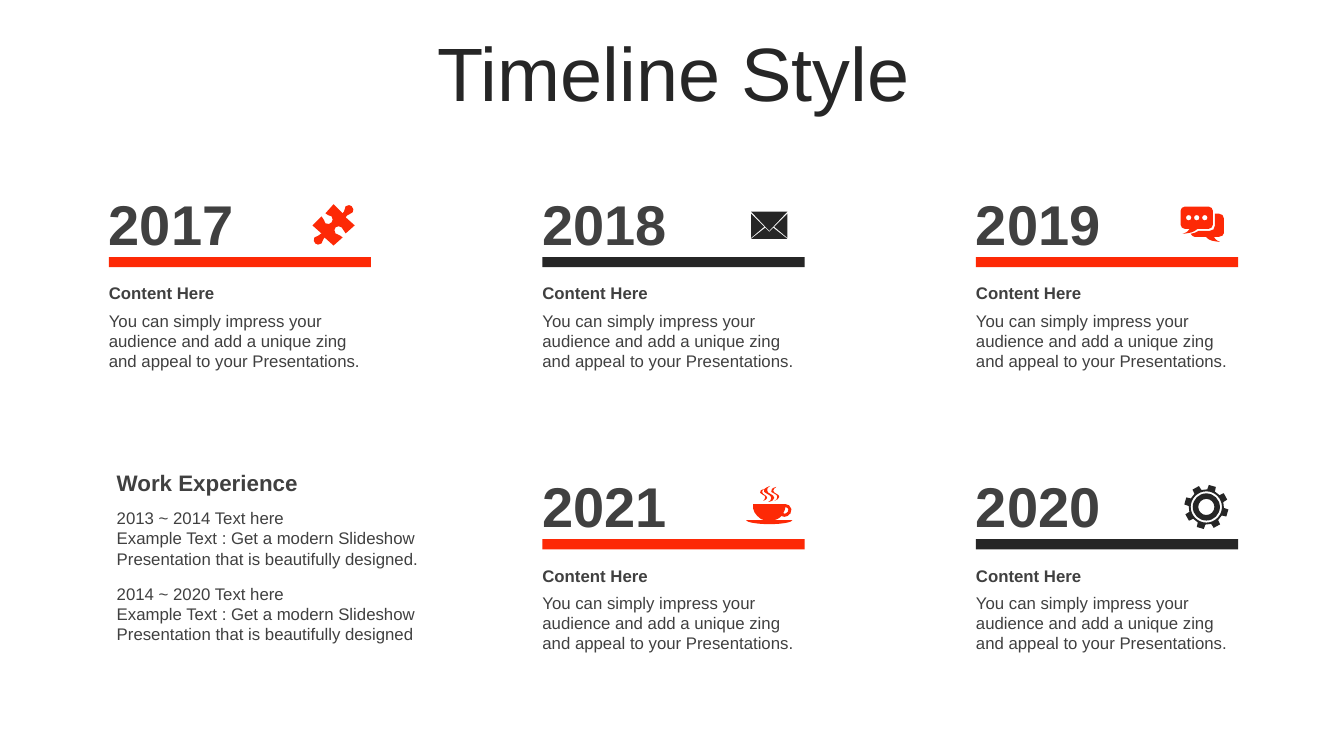
from math import cos, radians, sin

from pptx import Presentation
from pptx import util as u
from pptx.dml.color import RGBColor
from pptx.enum import shapes, text
from pptx.oxml import ns

RED, DARK, GREY = "FD2906", "262626", "404040"
LEFT, TOP, COL, ROW = 1.08, 1.88, 4.3, 2.8
BODY = ("You can simply impress your audience and add a unique zing "
        "and appeal to your Presentations.")
EXAMPLE = "Example Text : Get a modern Slideshow Presentation that is beautifully designed"

PUZZLE = [
    "39,2 / 41,4 41,6 40,8 / 38,11 35,9 33,13 / 42,21 / 33,29 / 30,27 32,25 29,23"
    " / 27,21 25,22 23,23 / 22,24 21,27 23,29 / 26,31 27,30 30,33 / 21,41 / 12,33"
    " / 10,35 11,36 9,39 / 7,41 4,40 3,39 / 1,38 1,35 2,33 / 4,31 7,32 9,29 / 0,21"
    " / 9,12 / 12,14 11,17 13,19 / 15,20 18,20 19,18 / 20,17 21,14 19,12"
    " / 16,10 15,12 13,9 / 21,0 / 30,9 / 33,6 31,5 33,2 / 35,0 38,1 39,2",
]
ENVELOPE = [
    "22,16 / 36,27 / 0,27 / 14,16 / 18,20",
    "36,2 / 36,26 / 23,15",
    "0,2 / 13,15 / 0,26",
    "0,0 / 36,0 / 18,19",
]
BUBBLES = [
    "34,7 / 38,7 / 41,7 43,9 43,12 / 43,26 / 43,28 41,30 38,30 / 33,30"
    " / 34,31 34,33 39,35 / 31,34 29,34 25,30 / 14,30 / 13,30 11,29 10,27"
    " / 13,27 16,25 18,24 / 29,24 / 32,24 34,22 34,19",
    "4,0 / 28,0 / 30,0 32,2 32,4 / 32,18 / 32,20 30,22 28,22 / 17,22"
    " / 12,26 10,26 2,27 / 7,25 7,25 9,22 / 4,22 / 2,22 0,20 0,18 / 0,4 / 0,2 2,0 4,0",
]
CUP = [
    "39,21 / 39,23 38,25 37,27 / 38,28 39,28 40,27 / 41,27 42,25 42,23 / 41,22 40,21 39,21",
    "39,18 / 42,18 44,20 45,23 / 45,26 44,29 41,30 / 39,31 37,31 35,30 / 34,31 33,32 31,33"
    " / 30,33 29,34 28,34 / 46,34 / 46,36 36,38 23,38 / 11,38 0,36 0,34 / 18,34"
    " / 17,34 16,33 15,33 / 9,29 6,24 7,18",
    "18,3 / 17,4 16,4 16,6 / 16,9 21,9 21,12 / 20,14 19,14 17,15 / 18,14 19,13 19,11"
    " / 19,9 15,9 14,7 / 13,5 15,4 18,3",
    "30,1 / 28,3 27,3 27,5 / 28,8 33,8 33,11 / 32,13 31,14 28,15 / 30,14 31,13 31,11"
    " / 31,8 27,8 25,6 / 24,4 26,2 30,1",
    "24,0 / 22,2 20,2 21,5 / 21,8 28,8 28,12 / 27,15 26,15 22,16 / 24,15 25,14 25,12"
    " / 25,9 20,8 18,6 / 17,3 19,2 24,0",
]


def paint(sp, color):
    """Fill a shape with one colour, without line or shadow."""
    sp.fill.solid()
    sp.fill.fore_color.rgb = RGBColor.from_string(color)
    sp.line.fill.background()
    sp.shadow.inherit = False


def add_text(parent, box, lines, size, bold=False, color=GREY, anchor="MIDDLE",
             margins=(0.1, 0.05, 0.1, 0.05), centred=False):
    """Add a wrapped text box with one paragraph per line."""
    tf = parent.add_textbox(*map(u.Inches, box)).text_frame
    tf.word_wrap = True
    tf.vertical_anchor = text.MSO_ANCHOR[anchor]
    tf.margin_left, tf.margin_top, tf.margin_right, tf.margin_bottom = map(u.Inches, margins)
    tf.text = "\n".join(lines)
    for p in tf.paragraphs:
        p.font.name, p.font.size, p.font.bold = "Arial", u.Pt(size), bold
        p.font.color.rgb = RGBColor.from_string(color)
        if centred:
            p.alignment, p.line_spacing = text.PP_ALIGN.CENTER, 0.9


def trace(outline):
    """Split an outline into strokes: one point is a line, three are a curve."""
    return [[tuple(map(float, pair.split(","))) for pair in stroke.split()]
            for stroke in outline.split("/")]


def polar(cx, cy, radius, angle):
    """Return the point at an angle in degrees clockwise from the top."""
    return cx + radius * sin(radians(angle)), cy - radius * cos(radians(angle))


def circle(cx, cy, r):
    """Return the strokes of a circle made of four curves."""
    k = 0.55 * r
    return [[(cx, cy - r)],
            [(cx + k, cy - r), (cx + r, cy - k), (cx + r, cy)],
            [(cx + r, cy + k), (cx + k, cy + r), (cx, cy + r)],
            [(cx - k, cy + r), (cx - r, cy + k), (cx - r, cy)],
            [(cx - r, cy - k), (cx - k, cy - r), (cx, cy - r)]]


def gear(cx, cy):
    """Return a gear of eight teeth around a ring."""
    tooth = (17.5, -13), (22, -9.5), (22, 9.5), (17.5, 13)
    rim = [[polar(cx, cy, radius, 16 + 45 * n + turn)] for n in range(8) for radius, turn in tooth]
    return [rim] + [circle(cx, cy, radius) for radius in (15.5, 13.5, 8)]


def turned(strokes, cx, cy, angle):
    """Rotate strokes around a centre, clockwise in degrees."""
    c, s = cos(radians(angle)), sin(radians(angle))
    return [[(cx + (x - cx) * c - (y - cy) * s, cy + (x - cx) * s + (y - cy) * c)
             for x, y in stroke] for stroke in strokes]


def bend(sp, strokes):
    """Join the three lines of each curved stroke into one cubic curve."""
    lines = iter(list(sp._element.iter(ns.qn("a:lnTo"))))
    for stroke in strokes:
        first, *others = [next(lines) for _ in stroke]
        if others:
            first.tag = ns.qn("a:cubicBezTo")
        for line in others:
            first.append(line[0])
            line.getparent().remove(line)


def add_icon(parent, x, y, contours, color, rotation=0):
    """Add one freeform from contours given in hundredths of an inch."""
    builder, strokes = None, []
    for contour in contours:
        start, *points = [(u.Inches(x + px / 100), u.Inches(y + py / 100))
                          for stroke in contour for px, py in stroke]
        if builder:
            builder.move_to(*start)
        else:
            builder = parent.build_freeform(*start, scale=1.0)
        builder.add_line_segments(points, close=True)
        strokes += contour[1:]
    sp = builder.convert_to_shape()
    bend(sp, strokes)
    sp.rotation = rotation
    paint(sp, color)


def add_year(s, col, row, year, color):
    """Add a year with its bar, heading and description at a grid cell."""
    group = s.shapes.add_group_shape().shapes
    x, y = LEFT + COL * col, TOP + ROW * row
    bar = group.add_shape(shapes.MSO_SHAPE.RECTANGLE,
                          *map(u.Inches, (x, y + 0.67, 2.6, 0.1)))
    paint(bar, color)
    flush = (0, 0.05, 0.1, 0.05)
    add_text(group, (x, y, 1.7, 0.67), [year], 40, True, margins=(0, 0, 0, 0))
    add_text(group, (x, y + 0.88, 2.6, 0.3), ["Content Here"], 12, True, margins=flush)
    add_text(group, (x, y + 1.15, 2.6, 0.71), [BODY], 12, anchor="TOP", margins=flush)


def main():
    """Build the timeline slide."""
    prs = Presentation()
    prs.slide_width, prs.slide_height = u.Inches(13.33), u.Inches(7.5)
    s = prs.slides.add_slide(prs.slide_layouts[6])
    add_text(s.shapes, (0.35, 0.37, 12.66, 0.79), ["Timeline Style"], 54,
             color=DARK, centred=True)

    for col, row, year, color in [(0, 0, "2017", RED), (1, 0, "2018", DARK),
                                  (2, 0, "2019", RED), (1, 1, "2021", RED),
                                  (2, 1, "2020", DARK)]:
        add_year(s, col, row, year, color)

    puzzle = [turned(trace(outline), 20.5, 21, -45) for outline in PUZZLE]
    dots = [circle(cx, 11, 2.7) for cx in (8, 16, 24)]
    add_icon(s.shapes, 7.45, 2.1, map(trace, ENVELOPE), DARK)
    add_icon(s.shapes, 3.1, 2.03, puzzle, RED, 45)
    add_icon(s.shapes, 11.71, 2.05, [*map(trace, BUBBLES), *dots], RED)
    add_icon(s.shapes, 7.4, 4.82, map(trace, CUP), RED)
    add_icon(s.shapes, 11.75, 4.81, gear(21.5, 22), DARK)

    add_text(s.shapes, (1.06, 4.63, 3.66, 0.31), ["Work Experience"], 16, True)
    jobs = ["2013 ~ 2014 Text here", EXAMPLE + "."], ["2014 ~ 2020 Text here", EXAMPLE]
    for i, job in enumerate(jobs):
        add_text(s.shapes, (1.06, 4.99 + 0.75 * i, 3.66, 0.71), job, 12, anchor="TOP")
    prs.save("out.pptx")


if __name__ == "__main__":
    main()
